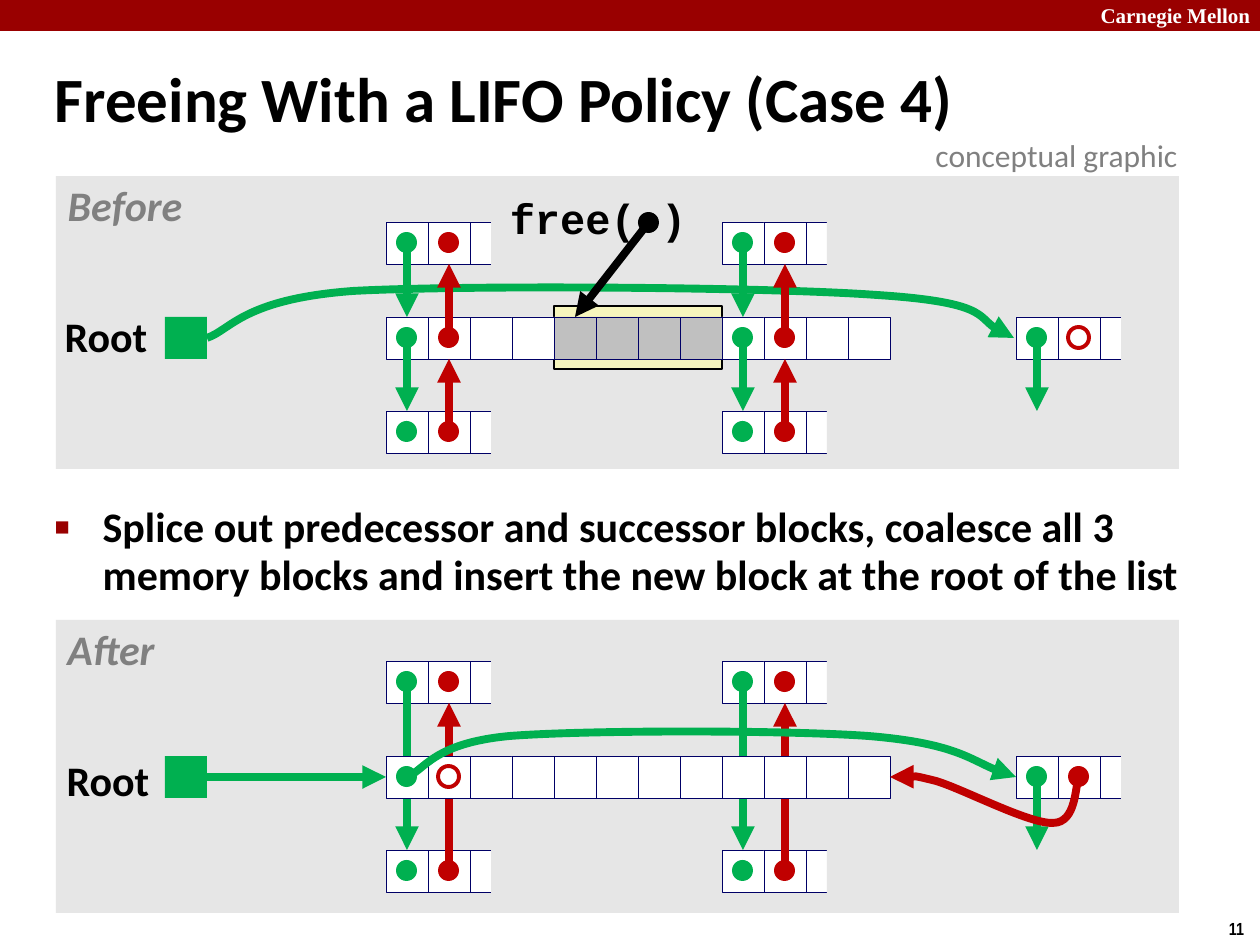
from dataclasses import dataclass

from lxml import etree
from pptx import Presentation
from pptx.dml.color import RGBColor
from pptx.enum.shapes import MSO_CONNECTOR, MSO_SHAPE
from pptx.enum.text import MSO_ANCHOR, MSO_AUTO_SIZE, PP_ALIGN
from pptx.oxml.ns import qn
from pptx.util import Emu, Pt

RECTANGLE, OVAL = MSO_SHAPE.RECTANGLE, MSO_SHAPE.OVAL
STRAIGHT = MSO_CONNECTOR.STRAIGHT
MIDDLE, TOP = MSO_ANCHOR.MIDDLE, MSO_ANCHOR.TOP
CENTER, LEFT = PP_ALIGN.CENTER, PP_ALIGN.LEFT
FIXED_SIZE = MSO_AUTO_SIZE.NONE

EMU_PER_INCH, PX_PER_INCH = 914400, 126
CELL, DOT = 42, 21
HALF = CELL // 2
PREDECESSOR, FREED, SUCCESSOR, LIST_HEAD = 386, 554, 722, 1016
ROOT = 165


@dataclass(frozen=True)
class TextStyle:
    size: int
    color: str = "000000"
    font: str = "Calibri"
    bold: bool = True
    italic: bool = False
    spacing: float = 1.0


class Theme:
    BAR, PANEL, FRAME = "990000", "E6E6E6", "F6F5BD"
    WHITE, BLACK, GRID, FREED = "FFFFFF", "000000", "000066", "C0C0C0"
    NEXT, PREVIOUS = "00B050", "C00000"
    GRID_WIDTH, FRAME_WIDTH, RING_WIDTH, ARROW_WIDTH = 0.25, 0.75, 2.25, 4.5
    TITLE = TextStyle(36, spacing=0.87)
    BODY = TextStyle(24, spacing=0.95)
    LABEL = TextStyle(24, spacing=0.9)
    STATE = TextStyle(24, "808080", italic=True, spacing=0.9)
    CODE = TextStyle(24, font="Courier New", spacing=0.9)
    CAPTION = TextStyle(18, "808080", bold=False)
    BRAND = TextStyle(12, "FFFFFF", "Times New Roman")
    NUMBER = TextStyle(10, font="Arial Narrow")


def px(length):
    return Emu(round(length * EMU_PER_INCH / PX_PER_INCH))


def rgb(color):
    return RGBColor.from_string(color)


class Canvas:
    def __init__(self, page, theme):
        self.page, self.theme = page, theme

    def shape(self, kind, left, top, width, height, fill=None, line=None,
              line_width=0, shapes=None):
        target = self.page.shapes if shapes is None else shapes
        item = target.add_shape(kind, px(left), px(top), px(width), px(height))
        item.shadow.inherit = False
        if fill:
            item.fill.solid()
            item.fill.fore_color.rgb = rgb(fill)
        else:
            item.fill.background()
        if line:
            item.line.color.rgb = rgb(line)
            item.line.width = Pt(line_width)
        else:
            item.line.fill.background()

    def cells(self, left, top, count, fill=Theme.WHITE, shapes=None):
        for index in range(count):
            self.shape(RECTANGLE, left + index * CELL, top, CELL, CELL, fill,
                       self.theme.GRID, self.theme.GRID_WIDTH, shapes)

    def open_block(self, left, top):
        """Draw a block whose third cell is cut off halfway."""
        shapes = self.page.shapes.add_group_shape().shapes
        self.cells(left, top, 3, shapes=shapes)
        self.shape(RECTANGLE, left + 2 * CELL + HALF, top - 10, CELL, CELL + HALF,
                   self.theme.PANEL, shapes=shapes)

    def dot(self, cell_left, cell_top, color):
        self.shape(OVAL, cell_left + 10, cell_top + 10, DOT, DOT, color)

    def ring(self, cell_left, cell_top):
        self.shape(OVAL, cell_left + 10, cell_top + 10, DOT, DOT, None,
                   self.theme.PREVIOUS, self.theme.RING_WIDTH)

    def point_line(self, item, color):
        """Style a line and end it with an arrowhead."""
        item.line.color.rgb = rgb(color)
        item.line.width = Pt(self.theme.ARROW_WIDTH)
        outline = item._element.spPr.find(qn("a:ln"))
        etree.SubElement(outline, qn("a:tailEnd"), type="triangle")

    def arrow(self, start, end, color):
        item = self.page.shapes.add_connector(STRAIGHT, *map(px, start + end))
        self.point_line(item, color)
        etree.SubElement(item._element.spPr, qn("a:effectLst"))

    def curve(self, points, color):
        """Draw Bezier segments: a start, then three points for each segment."""
        start, *others = [(px(x), px(y)) for x, y in points]
        builder = self.page.shapes.build_freeform(*start)
        builder.add_line_segments(others, close=False)
        item = builder.convert_to_shape()
        steps = list(item._element.iter(qn("a:lnTo")))
        for first in range(0, len(steps), 3):
            bezier = etree.Element(qn("a:cubicBezTo"))
            steps[first].addprevious(bezier)
            for step in steps[first:first + 3]:
                bezier.append(step[0])
                step.getparent().remove(step)
        item.fill.background()
        item.shadow.inherit = False
        self.point_line(item, color)

    def set_text(self, frame, text, style, align=CENTER, anchor=MIDDLE):
        frame.text = text
        frame.auto_size = FIXED_SIZE
        frame.vertical_anchor = anchor
        para = frame.paragraphs[0]
        para.alignment = align
        para.line_spacing = style.spacing
        para.space_before = Pt(0)
        font = para.runs[0].font
        font.size, font.name = Pt(style.size), style.font
        font.bold, font.italic = style.bold, style.italic
        font.color.rgb = rgb(style.color)
        return para

    def label(self, text, left, top, width, height, style):
        frame = self.page.shapes.add_textbox(
            px(left), px(top), px(width), px(height)).text_frame
        frame.margin_left = frame.margin_right = 0
        frame.margin_top = frame.margin_bottom = 0
        frame.word_wrap = False
        self.set_text(frame, text, style)

    def placeholder(self, item, text, bounds, style, anchor, indent):
        item.left, item.top, item.width, item.height = map(px, bounds)
        para = self.set_text(item.text_frame, text, style, LEFT, anchor)
        properties = para._p.get_or_add_pPr()
        properties.set("marL", str(px(indent)))
        properties.set("indent", str(-px(indent)))
        return properties

    def bullet(self, properties):
        color = etree.SubElement(properties, qn("a:buClr"))
        etree.SubElement(color, qn("a:srgbClr"), val=self.theme.BAR)
        etree.SubElement(properties, qn("a:buSzPct"), val="60000")
        etree.SubElement(properties, qn("a:buFont"), typeface="Arial")
        etree.SubElement(properties, qn("a:buChar"), char="■")

    def panel(self, name, top, name_width, root_label_left):
        self.shape(RECTANGLE, 56, top, 1123, 293, self.theme.PANEL)
        self.label(name, 60, top + 2, name_width, 59, self.theme.STATE)
        self.label("Root", root_label_left, top + 133, 96, 59, self.theme.LABEL)


def draw_list_head(canvas, top, below):
    """Draw the root square and the block that was first in the list."""
    green = canvas.theme.NEXT
    canvas.shape(RECTANGLE, ROOT, top, CELL, CELL, green)
    canvas.open_block(LIST_HEAD, top)
    canvas.dot(LIST_HEAD, top, green)
    canvas.arrow((LIST_HEAD + HALF, top + HALF), (LIST_HEAD + HALF, below), green)


def draw_before(canvas):
    theme = canvas.theme
    upper, middle, lower = rows = (222, 317, 411)
    canvas.panel("Before", 176, 130, 58)
    canvas.shape(RECTANGLE, FREED, 306, 4 * CELL, 63, theme.FRAME,
                 theme.BLACK, theme.FRAME_WIDTH)
    canvas.curve([(207, 338), (231, 330), (243, 299), (354, 291), (466, 285),
                  (765, 287), (876, 295), (985, 302), (985, 329), (1014, 338)], theme.NEXT)
    canvas.cells(FREED, middle, 4, theme.FREED)
    for left in (PREDECESSOR, SUCCESSOR):
        canvas.cells(left, middle, 4)
        canvas.open_block(left, upper)
        canvas.open_block(left, lower)
        for top in rows:
            canvas.dot(left, top, theme.NEXT)
            canvas.dot(left + CELL, top, theme.PREVIOUS)
        down, up = left + HALF, left + CELL + HALF
        for above, below in zip(rows, rows[1:]):
            canvas.arrow((down, above + HALF), (down, below), theme.NEXT)
            canvas.arrow((up, below + HALF), (up, above + CELL), theme.PREVIOUS)
    draw_list_head(canvas, middle, lower)
    canvas.ring(LIST_HEAD + CELL, middle)
    canvas.label("free( )", 503, 191, 190, 59, theme.CODE)
    canvas.shape(OVAL, 638, 212, DOT, DOT, theme.BLACK)
    canvas.arrow((649, 222), (575, middle), theme.BLACK)


def draw_after(canvas):
    theme = canvas.theme
    upper, middle, lower = 661, 756, 850
    canvas.panel("After", 620, 102, 60)
    for left in (PREDECESSOR, SUCCESSOR):
        down, up = left + HALF, left + CELL + HALF
        for top in (upper, lower):
            canvas.open_block(left, top)
            canvas.dot(left, top, theme.NEXT)
            canvas.dot(left + CELL, top, theme.PREVIOUS)
        canvas.arrow((down, upper + HALF), (down, lower), theme.NEXT)
        canvas.arrow((up, lower + HALF), (up, upper + CELL), theme.PREVIOUS)
    canvas.cells(PREDECESSOR, middle, 12)
    canvas.dot(PREDECESSOR, middle, theme.NEXT)
    canvas.ring(PREDECESSOR + CELL, middle)
    draw_list_head(canvas, middle, lower)
    canvas.dot(LIST_HEAD + CELL, middle, theme.PREVIOUS)
    canvas.arrow((197, 777), (PREDECESSOR, 777), theme.NEXT)
    canvas.curve([(407, 777), (425, 770), (433, 743), (510, 736), (587, 730),
                  (784, 730), (868, 736), (953, 743), (985, 769), (1016, 777)], theme.NEXT)
    canvas.curve([(1079, 777), (1075, 785), (1077, 823), (1053, 823), (1029, 824),
                  (963, 789), (936, 781), (908, 774), (900, 777), (890, 777)], theme.PREVIOUS)


def main():
    deck = Presentation()
    deck.slide_width, deck.slide_height = px(1260), px(945)
    page = deck.slides.add_slide(deck.slide_layouts[1])
    theme = Theme()
    canvas = Canvas(page, theme)
    canvas.placeholder(page.shapes.title, "Freeing With a LIFO Policy (Case 4)",
                       (42, 49, 1201, 108), theme.TITLE, MIDDLE, 16)
    canvas.bullet(canvas.placeholder(
        page.placeholders[1],
        "Splice out predecessor and successor blocks, coalesce all 3 memory blocks "
        "and insert the new block at the root of the list",
        (42, 498, 1168, 156), theme.BODY, TOP, 48))
    canvas.shape(RECTANGLE, 0, 0, 1260, 31, theme.BAR)
    canvas.label("Carnegie Mellon", 1091, 0, 169, 31, theme.BRAND)
    canvas.label("11", 1215, 911, 43, 34, theme.NUMBER)
    canvas.label("conceptual graphic", 920, 130, 273, 50, theme.CAPTION)
    draw_before(canvas)
    draw_after(canvas)
    deck.save("out.pptx")


if __name__ == "__main__":
    main()
